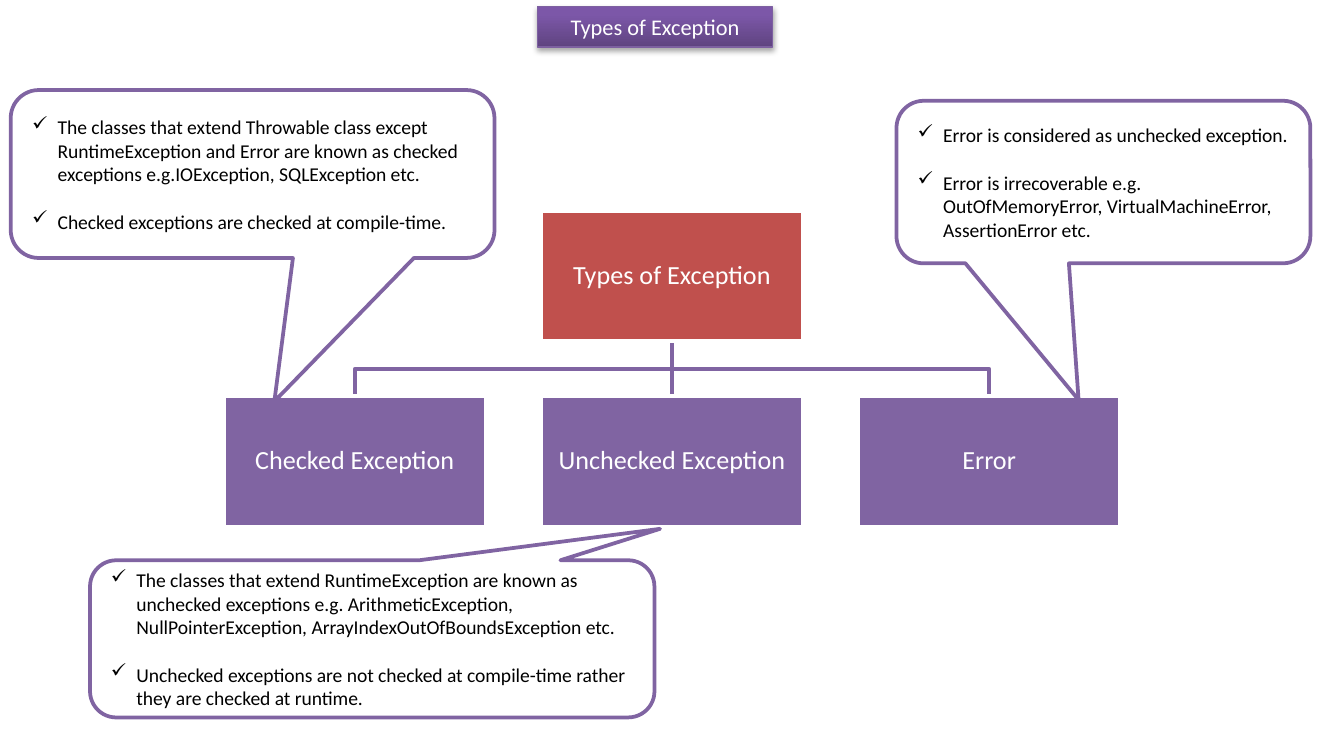
"""Build the exception types slide: a small hierarchy with explanatory callouts."""
import pptx
import pptx.util
import pptx.dml.color
import pptx.enum.shapes
import pptx.enum.text
import pptx.oxml
import pptx.oxml.ns
from lxml import etree

WIDTH, HEIGHT = 10, 5.5
FONT = "Calibri"
COLORS = {"purple": "8064A2", "red": "C0504D", "white": "FFFFFF", "black": "000000",
          "title_dark": "5F4480", "title_light": "7C57A8", "title_line": "7D60A0"}

TITLE = "Types of Exception"
ROOT = "Types of Exception"
CHILDREN = ["Checked Exception", "Unchecked Exception", "Error"]
CALLOUTS = [
    {"box": (6.67, 0.75, 3.08, 1.21), "tip": (-0.06, 1.34), "points": [
        "Error is considered as unchecked exception.",
        "Error is irrecoverable e.g. OutOfMemoryError, VirtualMachineError, AssertionError etc."]},
    {"box": (0.08, 0.67, 3.6, 1.25), "tip": (0.045, 1.354), "points": [
        "The classes that extend Throwable class except RuntimeException and Error are known as "
        "checked exceptions e.g.IOException, SQLException etc.",
        "Checked exceptions are checked at compile-time."]},
    {"box": (0.67, 4.17, 4.2, 1.17), "tip": (0.51, -0.7), "points": [
        "The classes that extend RuntimeException are known as unchecked exceptions e.g. "
        "ArithmeticException, NullPointerException, ArrayIndexOutOfBoundsException etc.",
        "Unchecked exceptions are not checked at compile-time rather they are checked at runtime."]},
]

NODE_W, NODE_H, PITCH = 1.95, 0.97, 2.36
ROOT_TOP, CHILD_TOP = 1.57, 2.95
CENTER = WIDTH / 2
SHAPES = pptx.enum.shapes.MSO_SHAPE
ALIGN = pptx.enum.text.PP_ALIGN
MIDDLE = pptx.enum.text.MSO_ANCHOR.MIDDLE


def rgb(name):
    return pptx.dml.color.RGBColor.from_string(COLORS[name])


def inches(*values):
    return [pptx.util.Inches(v) for v in values]


def set_line(sp, color, width):
    sp.line.color.rgb = rgb(color)
    sp.line.width = pptx.util.Pt(width)


def set_font(p, size, color):
    for r in p.runs:
        r.font.name, r.font.size = FONT, pptx.util.Pt(size)
        r.font.color.rgb = rgb(color)


def add_box(s, kind, box, fill, line):
    sp = s.shapes.add_shape(kind, *inches(*box))
    sp.shadow.inherit = False
    sp.fill.solid()
    sp.fill.fore_color.rgb = rgb(fill)
    set_line(sp, line, 2)
    sp.text_frame.word_wrap = True
    sp.text_frame.vertical_anchor = MIDDLE
    return sp


def add_title(s):
    sp = s.shapes.title
    sp.left, sp.top, sp.width, sp.height = inches(4, 0.05, 1.75, 0.3)
    sp.fill.gradient()
    sp.fill.gradient_angle = 90
    for stop, color, position in zip(sp.fill.gradient_stops, ("title_dark", "title_light"), (0, 0.8)):
        stop.color.rgb = rgb(color)
        stop.position = position
    set_line(sp, "title_line", 0.75)
    sp.element.spPr.append(pptx.oxml.parse_xml(
        f'<a:effectLst {pptx.oxml.ns.nsdecls("a")}><a:outerShdw blurRad="39400" dist="22900" '
        'dir="5400000" rotWithShape="0"><a:srgbClr val="000000"><a:alpha val="35000"/>'
        '</a:srgbClr></a:outerShdw></a:effectLst>'))
    tf = sp.text_frame
    tf.text = TITLE
    tf.auto_size = pptx.enum.text.MSO_AUTO_SIZE.NONE
    tf.vertical_anchor = MIDDLE
    tf.paragraphs[0].alignment = ALIGN.CENTER
    set_font(tf.paragraphs[0], 12, "white")


def add_node(s, text, center, top, fill):
    sp = add_box(s, SHAPES.RECTANGLE, (center - NODE_W / 2, top, NODE_W, NODE_H), fill, "white")
    tf = sp.text_frame
    tf.margin_left = tf.margin_right = tf.margin_top = tf.margin_bottom = pptx.util.Inches(0.01)
    tf.text = text
    p = tf.paragraphs[0]
    p.alignment, p.line_spacing = ALIGN.CENTER, 0.9
    set_font(p, 14, "white")


def add_branch(s, center):
    start = ROOT_TOP + NODE_H
    bend = (start + CHILD_TOP) / 2
    if center == CENTER:
        sp = s.shapes.add_connector(pptx.enum.shapes.MSO_CONNECTOR.STRAIGHT,
                                    *inches(CENTER, start, CENTER, CHILD_TOP))
        etree.SubElement(sp.element.spPr, pptx.oxml.ns.qn("a:effectLst"))
    else:
        builder = s.shapes.build_freeform(*inches(CENTER, start))
        corners = [(CENTER, bend), (center, bend), (center, CHILD_TOP)]
        builder.add_line_segments([inches(*c) for c in corners], close=False)
        sp = builder.convert_to_shape()
        sp.shadow.inherit = False
        sp.fill.background()
    set_line(sp, "purple", 2)


def add_callout(s, box, tip, points):
    sp = add_box(s, SHAPES.ROUNDED_RECTANGULAR_CALLOUT, box, "white", "purple")
    for i, value in enumerate((*tip, 0.167)):
        sp.adjustments[i] = value
    tf = sp.text_frame
    tf.text = "\n".join(points)
    for i, p in enumerate(tf.paragraphs):
        p.alignment = ALIGN.LEFT
        if i:
            p.space_before = pptx.util.Pt(12.8)
        pPr = p._p.get_or_add_pPr()
        indent = pptx.util.Inches(0.19)
        pPr.set("marL", str(indent))
        pPr.set("indent", str(-indent))
        etree.SubElement(pPr, pptx.oxml.ns.qn("a:buChar"), char="✓")
        set_font(p, 10.5, "black")


def main():
    prs = pptx.Presentation()
    prs.slide_width, prs.slide_height = inches(WIDTH, HEIGHT)
    s = prs.slides.add_slide(prs.slide_layouts[5])
    add_title(s)
    centers = [CENTER + (i - 1) * PITCH for i in range(len(CHILDREN))]
    for center in centers:
        add_branch(s, center)
    add_node(s, ROOT, CENTER, ROOT_TOP, "red")
    for text, center in zip(CHILDREN, centers):
        add_node(s, text, center, CHILD_TOP, "purple")
    for callout in CALLOUTS:
        add_callout(s, **callout)
    prs.save("out.pptx")


if __name__ == "__main__":
    main()
